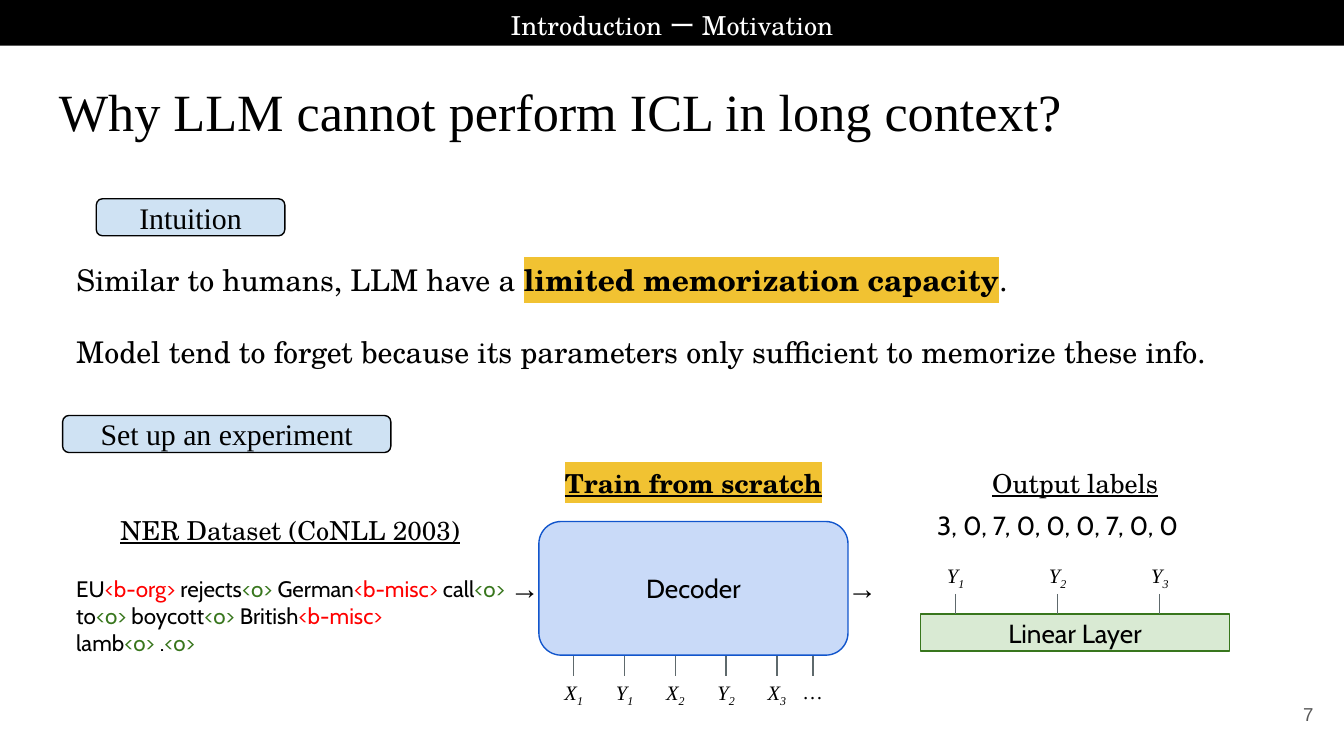
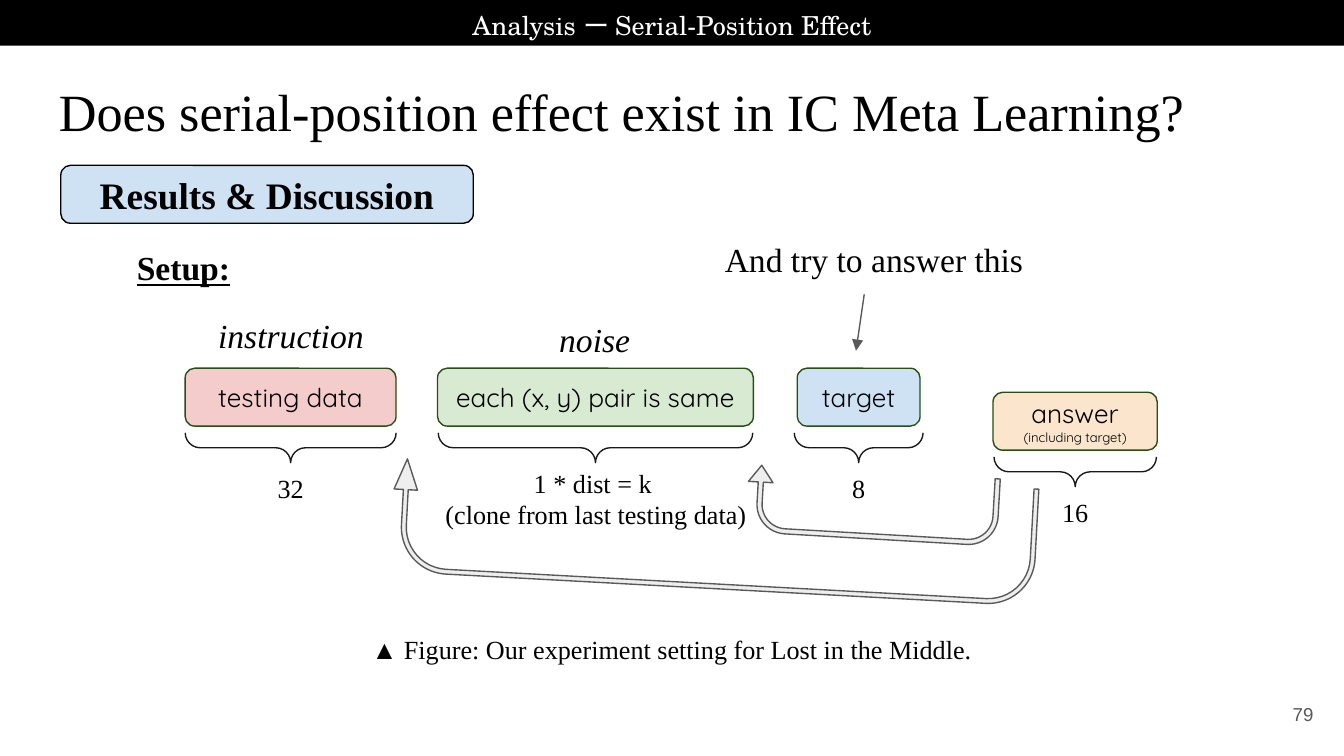
from dataclasses import dataclass, replace

from lxml.etree import SubElement
from pptx import Presentation
from pptx.dml.color import RGBColor
from pptx.enum.shapes import MSO_CONNECTOR, MSO_SHAPE
from pptx.enum.text import MSO_ANCHOR, PP_ALIGN
from pptx.oxml.ns import qn
from pptx.util import Pt


@dataclass(frozen=True)
class TextStyle:
    size: float
    font: str = "Times New Roman"
    color: str = "000000"
    align: PP_ALIGN = PP_ALIGN.CENTER
    bold: bool = False
    italic: bool = False
    underline: bool = False
    spacing: float = 1.0
    after: float = 0


class Theme:
    black = "000000"
    sky = "CFE2F3"
    decoder = "C9DAF8"
    decoder_edge = "1155CC"
    mint = "D9EAD3"
    green = "38761D"
    dark_green = "274E13"
    rose = "F4CCCC"
    peach = "FCE5CD"
    red = "FF0000"
    highlight = "F1C232"
    tick = "5E696C"
    brace = "191919"
    gray = "595959"
    pale = "EEEEEE"
    line_width = 0.75

    title = TextStyle(28, align=PP_ALIGN.LEFT)
    banner = TextStyle(14, "TeX Gyre Schola", "FFFFFF", spacing=1.15, after=12)
    number = TextStyle(10, "Arial", gray, PP_ALIGN.RIGHT)
    body = TextStyle(16, "TeX Gyre Schola", align=PP_ALIGN.JUSTIFY, spacing=1.15, after=12)
    heading = replace(banner, color=black, underline=True)
    tag = TextStyle(16)
    large_tag = TextStyle(20, bold=True)
    sample = TextStyle(12, "Cabin", align=PP_ALIGN.LEFT)
    layer = TextStyle(14, "Cabin")
    symbol = TextStyle(11, italic=True)
    arrow = TextStyle(16, after=10)
    setup = TextStyle(18, align=PP_ALIGN.LEFT, bold=True, underline=True)
    remark = TextStyle(18)
    role = TextStyle(18, italic=True)
    block = TextStyle(14, "Quicksand")
    small = 7
    count = TextStyle(14, after=10)
    caption = TextStyle(14)


class Deck:
    def __init__(self, theme):
        self.theme = theme
        self.presentation = Presentation()
        self.presentation.slide_width = Pt(720)
        self.presentation.slide_height = Pt(405)
        self.slide = None

    def start(self, banner, banner_width, title, number):
        self.slide = self.presentation.slides.add_slide(self.presentation.slide_layouts[6])
        theme = self.theme
        self.shape(MSO_SHAPE.RECTANGLE, 0, -0.5, 720, 25, theme.black)
        self.text((720 - banner_width) / 2, -0.5, banner_width, 25, banner, theme.banner, True)
        self.text(24.5, 35.3, 671, 45.4, title, theme.title)
        self.text(667.5, 367.2, 43.2, 31, number, theme.number, True)

    def fill_frame(self, frame, content, style, middle):
        frame.word_wrap = True
        frame.margin_left = frame.margin_right = Pt(7.2)
        frame.margin_top = frame.margin_bottom = Pt(7.2)
        frame.vertical_anchor = MSO_ANCHOR.MIDDLE if middle else MSO_ANCHOR.TOP
        paragraph = frame.paragraphs[0]
        paragraph.alignment = style.align
        paragraph.line_spacing = style.spacing
        paragraph.space_after = Pt(style.after)
        runs = [(content, {})] if isinstance(content, str) else content
        font = paragraph.font
        font.size = Pt(style.size)
        font.name = style.font
        font.bold = style.bold
        font.italic = style.italic
        font.underline = style.underline
        if any("color" in extra for _, extra in runs):
            runs = [(text, {"color": style.color, **extra}) for text, extra in runs]
        else:
            font.color.rgb = RGBColor.from_string(style.color)
        for text, extra in runs:
            for index, part in enumerate(text.split("\n")):
                if index:
                    paragraph.add_line_break()
                if part:
                    self.run(paragraph, part, **extra)

    def run(self, paragraph, text, color=None, size=None, bold=None, highlight=None, subscript=False):
        run = paragraph.add_run()
        run.text = text
        if color:
            run.font.color.rgb = RGBColor.from_string(color)
        if size:
            run.font.size = Pt(size)
        if bold:
            run.font.bold = True
        properties = run._r.get_or_add_rPr()
        if subscript:
            properties.set("baseline", "-25000")
        if highlight:
            mark = SubElement(properties, qn("a:highlight"))
            SubElement(mark, qn("a:srgbClr")).set("val", highlight)

    def text(self, left, top, width, height, content, style, middle=False):
        box = self.slide.shapes.add_textbox(Pt(left), Pt(top), Pt(width), Pt(height))
        self.fill_frame(box.text_frame, content, style, middle)

    def shape(self, kind, left, top, width, height, fill=None, line=None,
              content=None, style=None, adjustments=(), rotation=0):
        shape = self.slide.shapes.add_shape(kind, Pt(left), Pt(top), Pt(width), Pt(height))
        shape.shadow.inherit = False
        shape.rotation = rotation
        for index, value in enumerate(adjustments):
            shape.adjustments[index] = value
        if fill:
            shape.fill.solid()
            shape.fill.fore_color.rgb = RGBColor.from_string(fill)
        else:
            shape.fill.background()
        if line:
            shape.line.color.rgb = RGBColor.from_string(line)
            shape.line.width = Pt(self.theme.line_width)
        else:
            shape.line.fill.background()
        if content:
            self.fill_frame(shape.text_frame, content, style, True)

    def rounded(self, left, top, width, height, fill, line, content, style):
        self.shape(MSO_SHAPE.ROUNDED_RECTANGLE, left, top, width, height, fill, line, content, style, (0.167,))

    def brace(self, center, top, width, depth=16):
        self.shape(MSO_SHAPE.RIGHT_BRACE, center - depth / 2, top + (depth - width) / 2, depth, width,
                   line=self.theme.brace, adjustments=(0.5, 0.5), rotation=90)

    def u_turn(self, left, top, width, height, rotation, adjustments):
        self.shape(MSO_SHAPE.U_TURN_ARROW, left, top, width, height, self.theme.pale, self.theme.gray,
                   adjustments=adjustments, rotation=rotation)

    def line(self, start, end, color, arrow=False):
        connector = self.slide.shapes.add_connector(
            MSO_CONNECTOR.STRAIGHT, Pt(start[0]), Pt(start[1]), Pt(end[0]), Pt(end[1]))
        connector.line.color.rgb = RGBColor.from_string(color)
        connector.line.width = Pt(self.theme.line_width)
        properties = connector._element.spPr
        if arrow:
            SubElement(properties.find(qn("a:ln")), qn("a:tailEnd")).set("type", "triangle")
        SubElement(properties, qn("a:effectLst"))

    def token(self, center, tick_top, text_top, name):
        self.line((center, tick_top), (center, tick_top + 10.8), self.theme.tick)
        content = [(name[0], {})] + [(digit, {"subscript": True}) for digit in name[1:]]
        self.text(center - 14.4, text_top, 28.8, 23.8, content, self.theme.symbol)


def build_motivation(deck):
    theme = deck.theme
    deck.start("Introduction ー Motivation", 276.5, "Why LLM cannot perform ICL in long context?", "7")
    deck.rounded(51.6, 106.5, 101, 19.8, theme.sky, theme.black, "Intuition", theme.tag)
    deck.rounded(33.6, 222.6, 175.8, 19.8, theme.sky, theme.black, "Set up an experiment", theme.tag)
    deck.text(33.8, 130.3, 541.4, 33.8, [
        ("Similar to humans, LLM have a ", {}),
        ("limited memorization capacity", {"bold": True, "highlight": theme.highlight}),
        (".", {}),
    ], theme.body)
    deck.text(33.8, 168.5, 633.6, 33.8,
              "Model tend to forget because its parameters only sufficient to memorize these info.", theme.body)

    deck.text(37.4, 265.7, 236.2, 31.7, "NER Dataset (CoNLL 2003)", theme.heading)
    tagged_words = [
        ("EU", "b-org"), (" rejects", "o"), (" German", "b-misc"), (" call", "o"), (" to", "o"),
        (" boycott", "o"), (" British", "b-misc"), (" lamb", "o"), (" .", "o"),
    ]
    sample = []
    for word, tag in tagged_words:
        color = theme.green if tag == "o" else theme.red
        sample += [(word, {}), (f"<{tag}>", {"color": color})]
    deck.text(33.8, 301, 244, 58.3, sample, theme.sample)

    deck.text(253.4, 240.5, 236.2, 31.7,
              [("Train from scratch", {"highlight": theme.highlight})], replace(theme.heading, bold=True))
    deck.shape(MSO_SHAPE.FLOWCHART_ALTERNATE_PROCESS, 288.7, 279.4, 165.6, 71.6,
               theme.decoder, theme.decoder_edge, "Decoder", theme.layer)
    for left in (264.2, 445):
        deck.text(left, 298.1, 33.8, 33.8, "→", theme.arrow)
    for index, name in enumerate(("X1", "Y1", "X2", "Y2", "X3")):
        deck.token(307.4 + 27.2 * index, 351.4, 357.1, name)
    deck.token(435.6, 351.4, 357.1, "…")

    deck.text(457.9, 240.5, 236.2, 31.7, "Output labels", theme.heading)
    deck.text(488.9, 265.7, 155.5, 31.7, "3, 0, 7, 0, 0, 0, 7, 0, 0", theme.layer)
    deck.shape(MSO_SHAPE.FLOWCHART_PROCESS, 493.2, 329, 165.6, 19.8,
               theme.mint, theme.green, "Linear Layer", theme.layer)
    for index, name in enumerate(("Y1", "Y2", "Y3")):
        deck.token(511.9 + 54.7 * index, 318.2, 294.5, name)


def build_serial_position(deck):
    theme = deck.theme
    deck.start("Analysis ー Serial-Position Effect", 370,
               "Does serial-position effect exist in IC Meta Learning?", "79")
    deck.rounded(32.6, 88.6, 221, 31, theme.sky, theme.black, "Results & Discussion", theme.large_tag)
    deck.text(66.2, 125.3, 73.4, 36, "Setup:", theme.setup)

    answer = [("answer\n", {}), ("(including target)", {"size": theme.small})]
    blocks = [
        ("testing data", theme.rose, 155.7, 197.3, 113, 113, "32"),
        ("each (x, y) pair is same", theme.mint, 319, 197.3, 169.2, 168.5, None),
        ("target", theme.sky, 460, 197.3, 65.8, 69, "8"),
        (answer, theme.peach, 576, 210.2, 88, 87, "16"),
    ]
    for content, fill, center, top, width, brace_width, count in blocks:
        deck.rounded(center - width / 2, top, width, 31, fill, theme.dark_green, content, theme.block)
        deck.brace(center, top + 34.6, brace_width)
        if count:
            deck.text(center - 15.8, top + 48.2, 31.6, 31.7, count, theme.count, True)
    deck.text(222.5, 251.3, 193.7, 31.7, "1 * dist = k \n(clone from last testing data)", theme.count, True)

    deck.u_turn(400.3, 252.7, 134.6, 36, 183.3, (0.076, 0.183, 0.25, 0.438, 1))
    deck.u_turn(210.2, 252.7, 344.9, 62.6, 183.1, (0.041, 0.1, 0.263, 0.401, 0.967))

    deck.text(90.7, 165.6, 130.3, 27.4, "instruction", theme.role, True)
    deck.text(253.4, 167.8, 130.3, 27.4, "noise", theme.role, True)
    deck.text(339.8, 116.6, 257, 44.6, "And try to answer this", theme.remark, True)
    deck.line((463, 157.7), (458.6, 187.9), theme.gray, arrow=True)
    deck.text(77, 328.3, 566, 38.9,
              "▲ Figure: Our experiment setting for Lost in the Middle.", theme.caption, True)


def main():
    deck = Deck(Theme())
    build_motivation(deck)
    build_serial_position(deck)
    deck.presentation.save("out.pptx")


if __name__ == "__main__":
    main()
